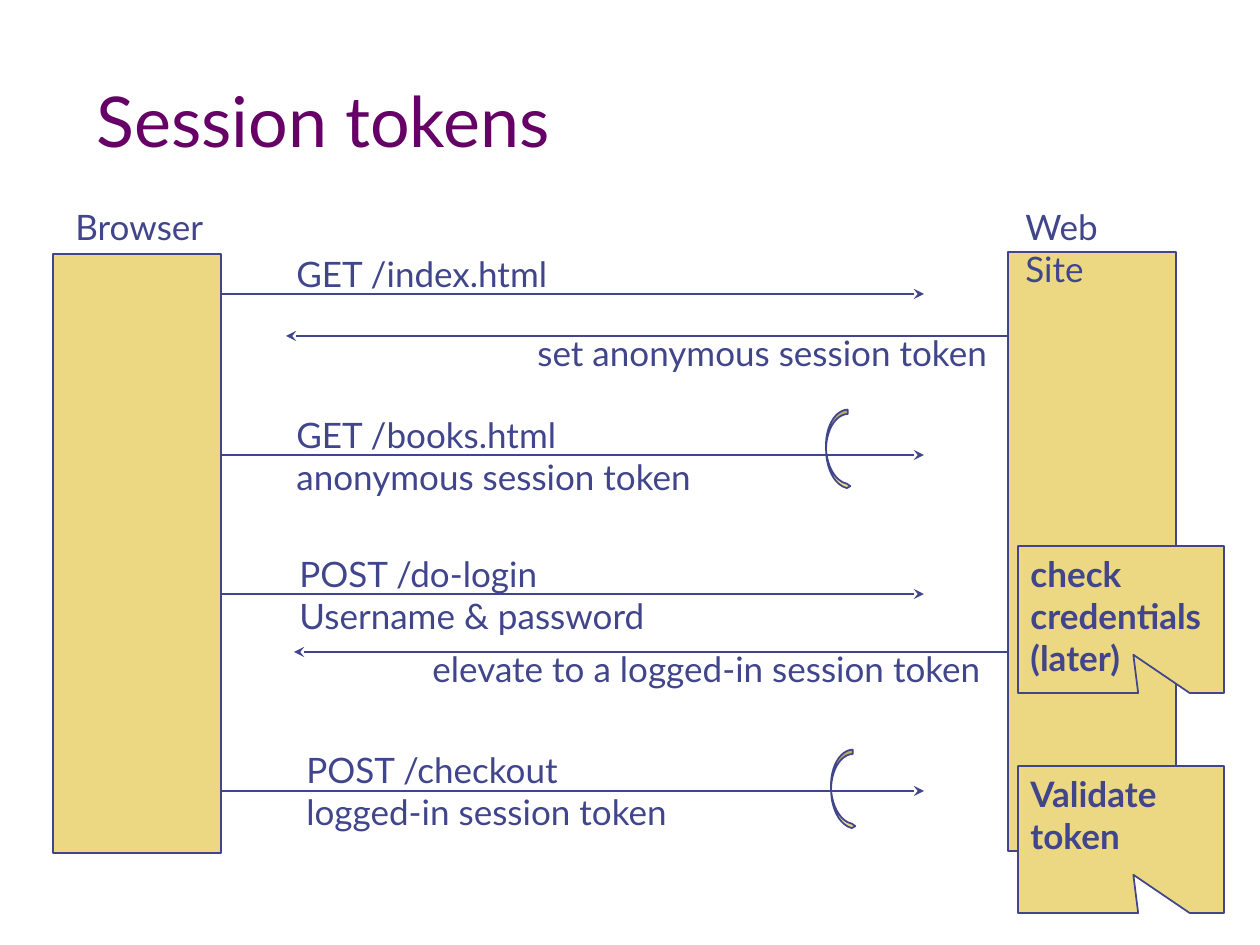
from lxml import etree
from pptx import Presentation
from pptx import util as u
from pptx.dml.color import RGBColor
from pptx.enum import shapes, text
from pptx.oxml import ns

TITLE = "Session tokens"
PARTICIPANTS = [
    ("Browser", (63, 199, 155, 55), (53, 254, 168, 599)),
    ("Web Site", (1013, 199, 162, 55), (1008, 252, 168, 599)),
]
# Each message: arrow start x, arrow end x, arrow y, label box, label lines
EXCHANGES = [
    [
        (221, 924, 294, (284, 246, 277, 55), ["GET /index.html"]),
        (1008, 286, 336, (525, 325, 483, 55), ["set anonymous session token"]),
    ],
    [(221, 924, 455, (284, 407, 426, 97),
      ["GET /books.html", "anonymous session token"])],
    [
        (221, 924, 594, (287, 546, 375, 97),
         ["POST /do-login", "Username & password"]),
        (1008, 294, 652, (420, 641, 587, 55),
         ["elevate to a logged-in session token"]),
    ],
    [(221, 924, 791, (294, 742, 392, 97),
      ["POST /checkout", "logged-in session token"])],
]
CHECKS = [
    (546, ["check \vcredentials", "(later)"]),
    (766, ["Validate", "token"]),
]
TOKEN_ARCS = [(798, 438), (803, 778)]

PURPLE = RGBColor(0x66, 0x00, 0x66)
INDIGO = RGBColor(0x40, 0x45, 0x8C)
SAND = RGBColor(0xEC, 0xD8, 0x82)
FONT = "Lato"
SCALE = 914400 / 126


def px(*lengths):
    return [u.Emu(round(length * SCALE)) for length in lengths]


def write(frame, lines, size=20, color=INDIGO, bold=False):
    frame.word_wrap = True
    for i, line in enumerate(lines):
        paragraph = frame.paragraphs[0] if i == 0 else frame.add_paragraph()
        paragraph.alignment = text.PP_ALIGN.LEFT
        for j, part in enumerate(line.split("\v")):
            if j:
                paragraph.add_line_break()
            run = paragraph.add_run()
            run.text = part
            run.font.name = FONT
            run.font.size = u.Pt(size)
            run.font.bold = bold
            run.font.color.rgb = color


def add_label(parent, box, lines):
    label = parent.add_textbox(*px(*box))
    write(label.text_frame, lines)


def add_figure(parent, preset, box, adjustments=()):
    figure = parent.add_shape(preset, *px(*box))
    figure.shadow.inherit = False
    figure.fill.solid()
    figure.fill.fore_color.rgb = SAND
    figure.line.color.rgb = INDIGO
    figure.line.width = u.Pt(1)
    for i, value in enumerate(adjustments):
        figure.adjustments[i] = value
    return figure


def add_arrow(parent, start, end, y):
    arrow = parent.add_connector(shapes.MSO_CONNECTOR.STRAIGHT, *px(start, y, end, y))
    arrow.line.color.rgb = INDIGO
    arrow.line.width = u.Pt(1)
    etree.SubElement(arrow.line._get_or_add_ln(), ns.qn("a:tailEnd"), type="stealth")
    etree.SubElement(arrow.element.spPr, ns.qn("a:effectLst"))


deck = Presentation()
deck.slide_width, deck.slide_height = px(1260, 945)
slide = deck.slides.add_slide(deck.slide_layouts[5])

title = slide.shapes.title
title.left, title.top, title.width, title.height = px(84, 42, 1071, 126)
title.text_frame.vertical_anchor = text.MSO_ANCHOR.BOTTOM
write(title.text_frame, [TITLE], 40, PURPLE)

for name, name_box, column in PARTICIPANTS:
    participant = slide.shapes.add_group_shape().shapes
    add_figure(participant, shapes.MSO_SHAPE.RECTANGLE, column)
    add_label(participant, name_box, [name])

for messages in EXCHANGES:
    exchange = slide.shapes.add_group_shape().shapes
    for start, end, y, label_box, lines in messages:
        add_arrow(exchange, start, end, y)
        add_label(exchange, label_box, lines)

for top, lines in CHECKS:
    check = add_figure(slide.shapes, shapes.MSO_SHAPE.ROUNDED_RECTANGULAR_CALLOUT,
                       (1018, top, 206, 147), (0.06, 0.24, 0))
    check.text_frame.vertical_anchor = text.MSO_ANCHOR.TOP
    write(check.text_frame, lines, bold=True)

for left, top in TOKEN_ARCS:
    arc = add_figure(slide.shapes, shapes.MSO_SHAPE.CURVED_DOWN_ARROW,
                     (left, top, 79, 23), (0.19, 0.21, 0.16))
    arc.rotation = 268
    arc.element.spPr.xfrm.set("flipH", "1")

deck.save("out.pptx")
